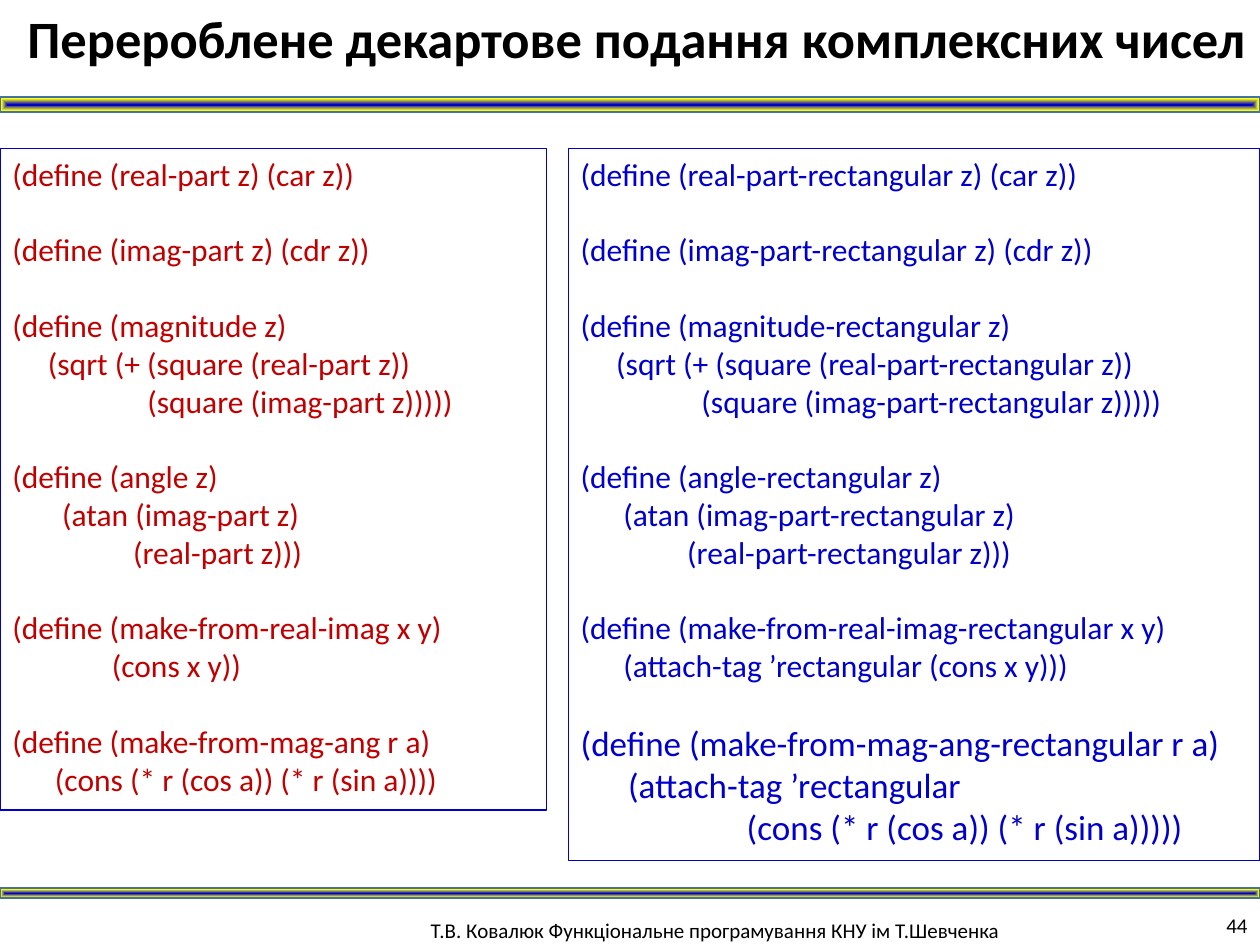
from pptx import Presentation
from pptx.dml.color import RGBColor
from pptx.enum import shapes, text
from pptx.oxml import parse_xml
from pptx.oxml.ns import nsdecls
from pptx.util import Inches, Pt

BLACK = RGBColor(0, 0, 0)
BLUE = RGBColor(0, 0, 0xCC)
RED = RGBColor(0xC0, 0, 0)
STEEL = RGBColor(0x43, 0x73, 0x9E)
BAND_STOPS = [(0, BLUE), (77, RGBColor(0xFF, 0xFF, 0)), (100, RGBColor(0xCE, 0xE1, 0xF2))]
FONT = "Calibri"

TITLE = "Перероблене декартове подання комплексних чисел"
FOOTER = "Т.В. Ковалюк Функціональне програмування КНУ ім Т.Шевченка"
PAGE = "44"

# Definitions are separated by an empty line
PLAIN_CODE = """\
(define (real-part z) (car z))

(define (imag-part z) (cdr z))

(define (magnitude z)
     (sqrt (+ (square (real-part z))
                   (square (imag-part z)))))

(define (angle z)
       (atan (imag-part z)
                 (real-part z)))

(define (make-from-real-imag x y)
              (cons x y))

(define (make-from-mag-ang r a)
      (cons (* r (cos a)) (* r (sin a))))"""

TAGGED_CODE = """\
(define (real-part-rectangular z) (car z))

(define (imag-part-rectangular z) (cdr z))

(define (magnitude-rectangular z)
     (sqrt (+ (square (real-part-rectangular z))
                 (square (imag-part-rectangular z)))))

(define (angle-rectangular z)
      (atan (imag-part-rectangular z)
               (real-part-rectangular z)))

(define (make-from-real-imag-rectangular x y)
      (attach-tag ’rectangular (cons x y)))

(define (make-from-mag-ang-rectangular r a)
      (attach-tag ’rectangular
                     (cons (* r (cos a)) (* r (sin a)))))"""

# code, left, width, height, colour, size of the last definition
PANELS = [
    (PLAIN_CODE, 0, 4.34, 5.25, RED, 18),
    (TAGGED_CODE, 4.51, 5.49, 5.65, BLUE, 20),
]
BANDS = [(0.77, 0.12), (7.05, 0.08)]  # top, height
CODE_TOP = 1.18
CODE_SIZE = 18
LINE_GAP = Pt(21.6)


def box(s, left, top, width, height):
    return s.shapes.add_textbox(*map(Inches, (left, top, width, height)))


def style(p, size, color, bold=False):
    p.font.name = FONT
    p.font.size = Pt(size)
    p.font.bold = bold
    p.font.color.rgb = color


def add_band(s, top, height):
    """Full-width bar whose gradient runs from its centre to its edges."""
    band = s.shapes.add_shape(shapes.MSO_SHAPE.RECTANGLE,
                              0, Inches(top), Inches(10), Inches(height))
    band.shadow.inherit = False
    band.line.color.rgb = STEEL
    band.line.width = Pt(1)
    stops = "".join(f'<a:gs pos="{pos * 1000}"><a:srgbClr val="{color}"/></a:gs>'
                    for pos, color in BAND_STOPS)
    gradient = parse_xml(
        f'<a:gradFill {nsdecls("a")} rotWithShape="1"><a:gsLst>{stops}</a:gsLst>'
        '<a:path path="shape"><a:fillToRect l="50000" t="50000" r="50000" b="50000"/>'
        '</a:path></a:gradFill>')
    band._element.spPr.find("{*}prstGeom").addnext(gradient)


def add_code(s, code, left, width, height, color, last_size):
    panel = box(s, left, CODE_TOP, width, height)
    panel.line.color.rgb = BLUE
    panel.line.width = Pt(0.75)
    tf = panel.text_frame
    tf.word_wrap = True
    tf.text = code.replace("\n\n", "\n")
    paragraphs = iter(tf.paragraphs)
    definitions = code.split("\n\n")
    for i, definition in enumerate(definitions):
        size = last_size if i == len(definitions) - 1 else CODE_SIZE
        for j, _ in enumerate(definition.split("\n")):
            p = next(paragraphs)
            if i and not j:
                p.space_before = LINE_GAP
            style(p, size, color)


def add_label(s, label, left, top, width, height, align):
    tf = box(s, left, top, width, height).text_frame
    tf.word_wrap = True
    p = tf.paragraphs[0]
    p.text = label
    p.alignment = align
    style(p, 12, BLACK)
    return tf


def main():
    prs = Presentation()
    prs.slide_width, prs.slide_height = Inches(10), Inches(7.5)
    s = prs.slides.add_slide(prs.slide_layouts[5])

    title = s.shapes.title
    title.left, title.top, title.width, title.height = map(Inches, (0, 0, 10.11, 0.61))
    tf = title.text_frame
    tf.text = TITLE
    tf.auto_size = text.MSO_AUTO_SIZE.NONE
    tf.vertical_anchor = text.MSO_ANCHOR.TOP
    tf.paragraphs[0].alignment = text.PP_ALIGN.CENTER
    style(tf.paragraphs[0], 30, BLACK, bold=True)

    for band in BANDS:
        add_band(s, *band)
    for panel in PANELS:
        add_code(s, *panel)
    add_label(s, FOOTER, 3.32, 7.23, 6, 0.32, text.PP_ALIGN.LEFT)
    page = add_label(s, PAGE, 9.31, 7.18, 0.69, 0.32, text.PP_ALIGN.RIGHT)
    page.vertical_anchor = text.MSO_ANCHOR.MIDDLE
    prs.save("out.pptx")


if __name__ == "__main__":
    main()
